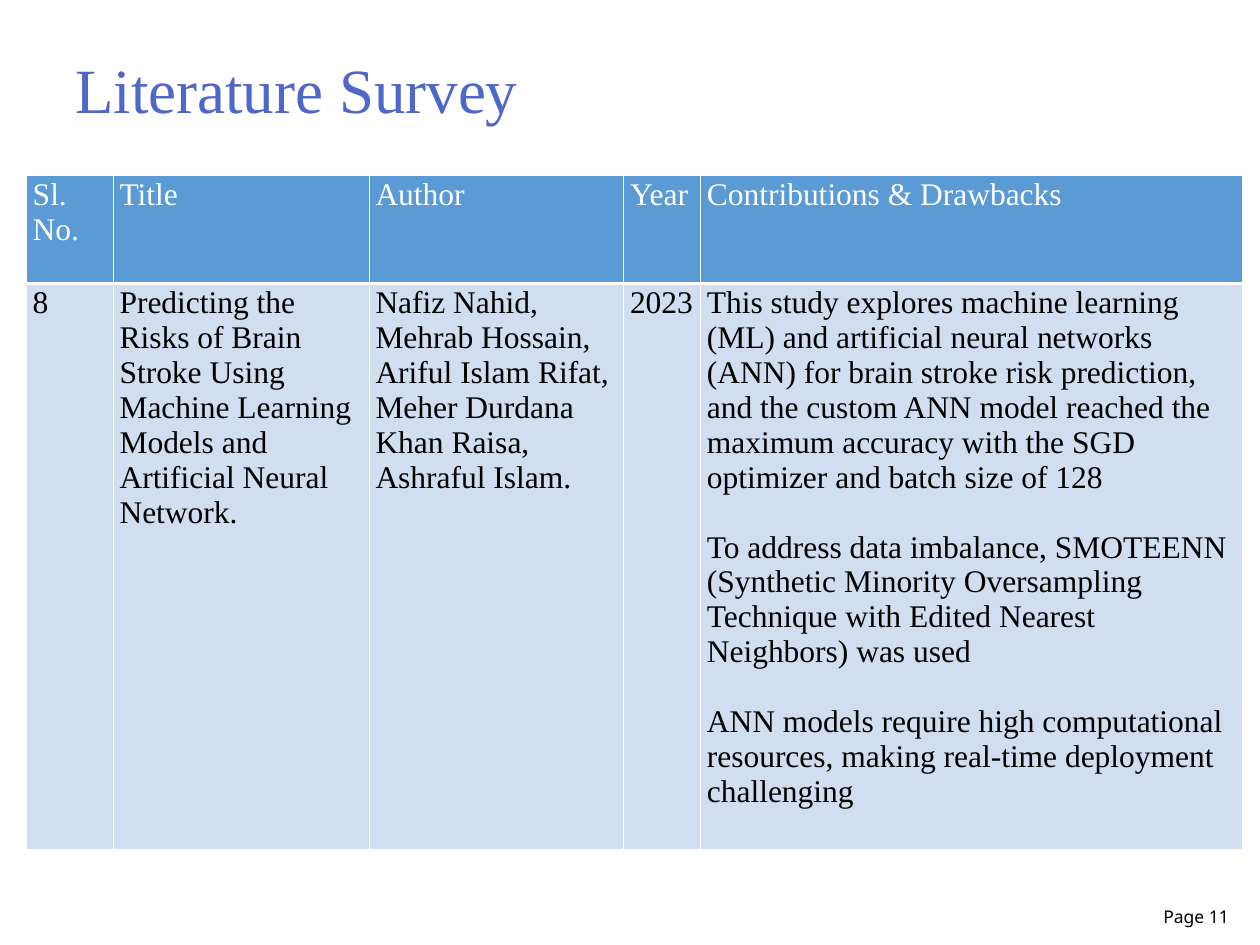
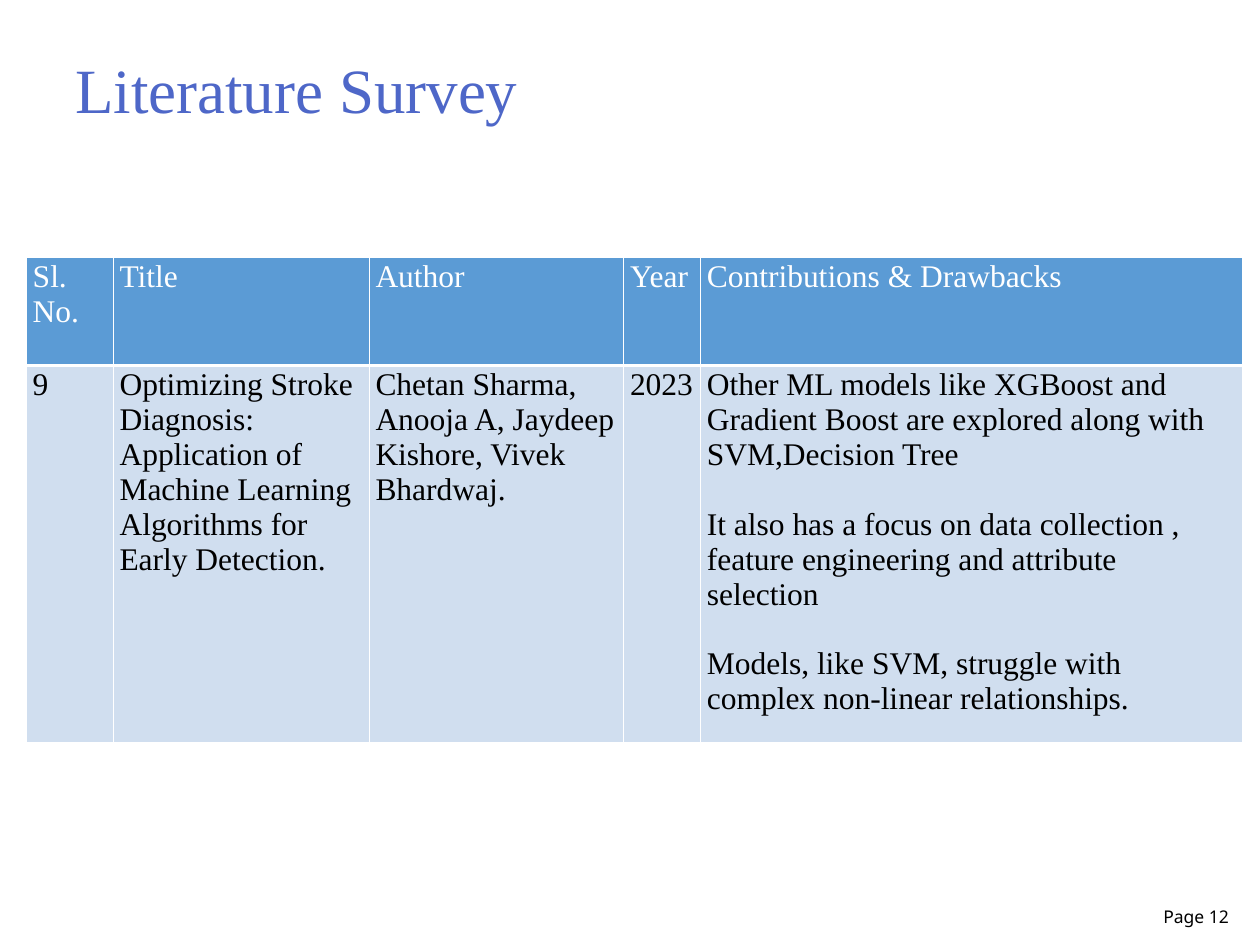
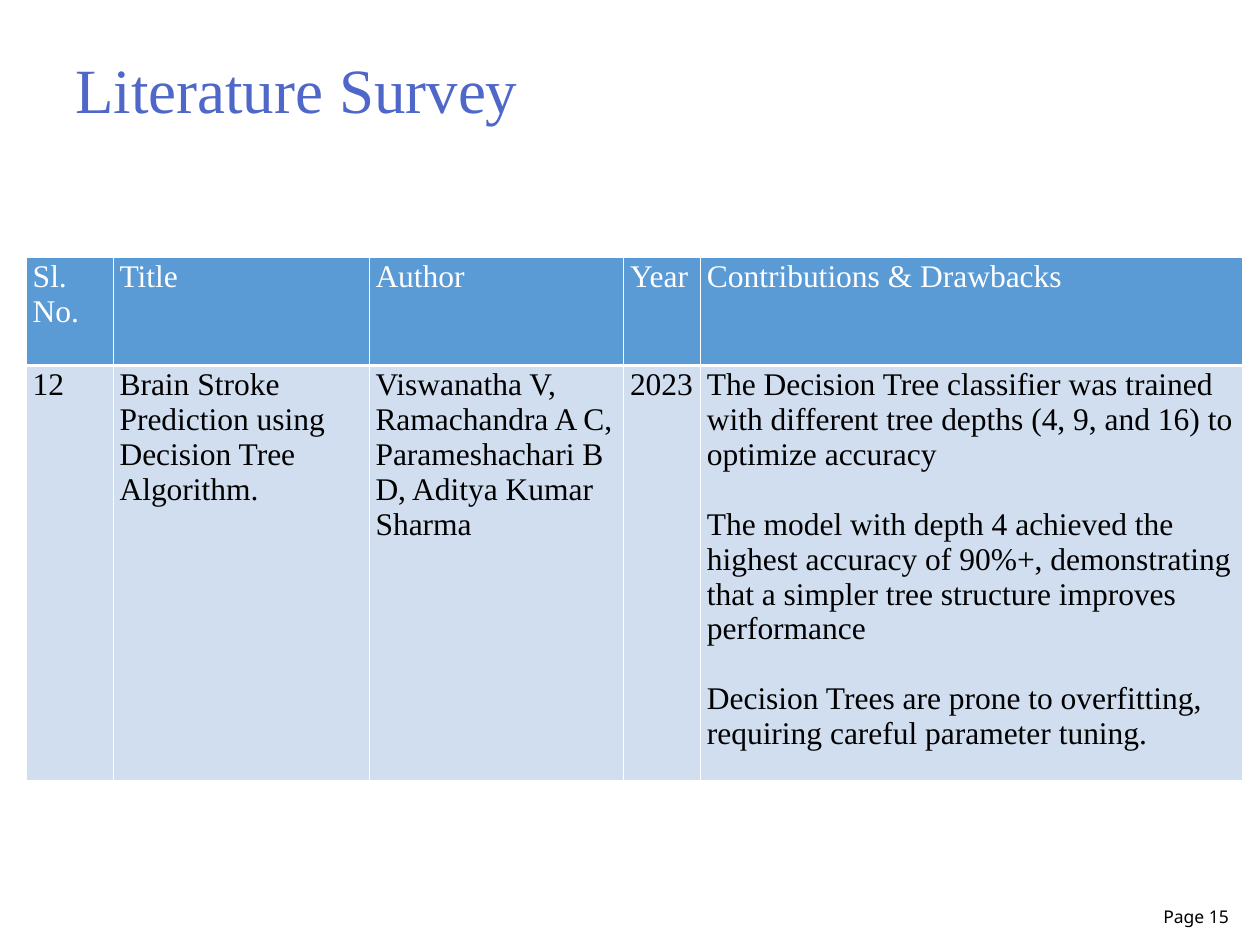
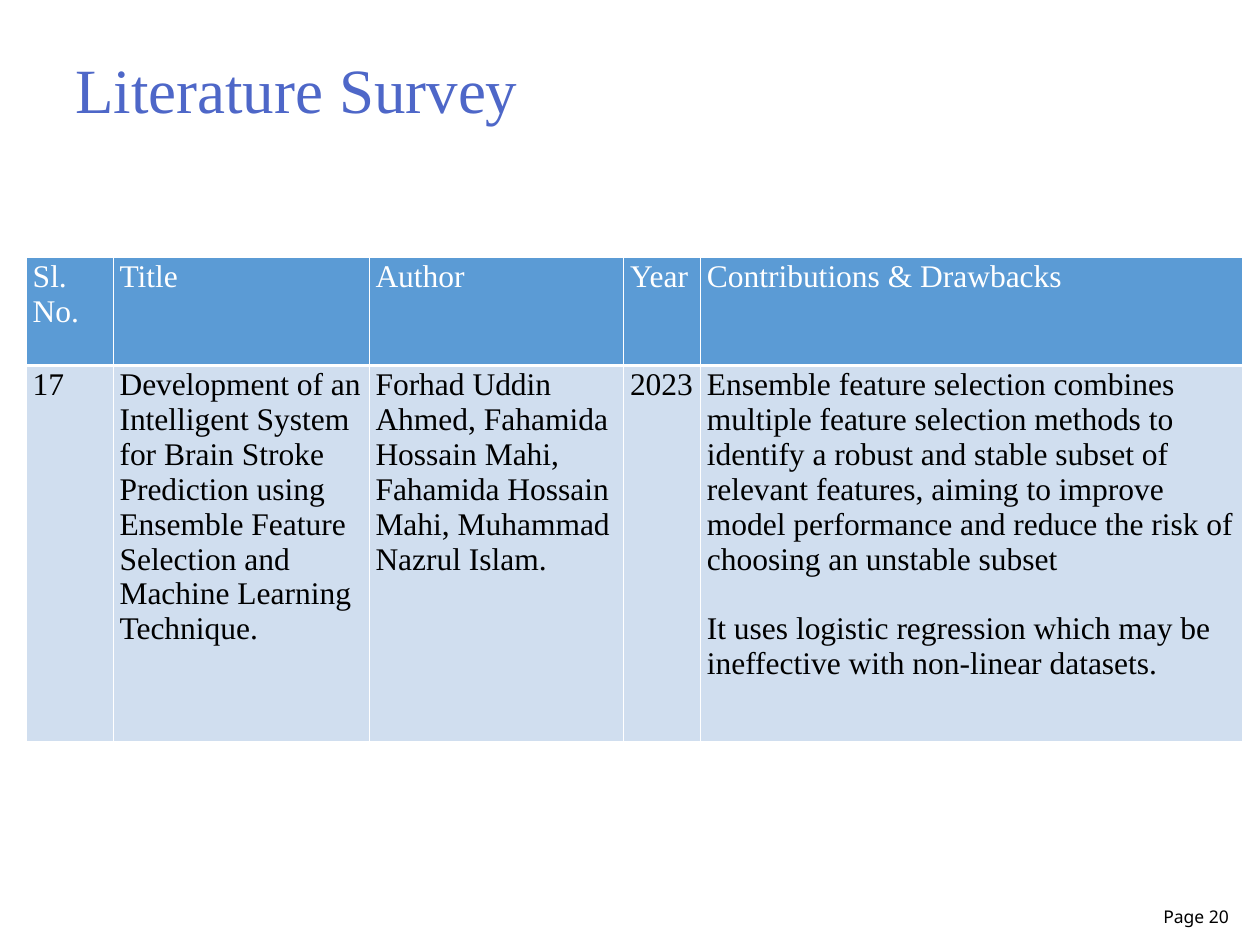
from dataclasses import dataclass

from lxml import etree
from pptx import Presentation
from pptx import util as u
from pptx.dml.color import RGBColor
from pptx.enum import text
from pptx.oxml import ns


@dataclass(frozen=True)
class Theme:
    title: str = "4E67C8"
    header: str = "5B9BD5"
    body: str = "D0DEEF"
    light: str = "FFFFFF"
    dark: str = "000000"
    serif: str = "Times New Roman"
    sans: str = "Noto Sans"
    title_size: int = 36
    table_size: int = 18
    page_size: int = 10
    thin: float = 0.75
    thick: float = 2


T = Theme()
HEADINGS = ["Sl. No.", "Title", "Author", "Year", "Contributions & Drawbacks"]
COLUMNS = [1.75, 5.16, 5.13, 1.55, 10.92]
ROWS = [2.18, 7.59]

# page, table top, table height, entry: number, title, authors, year, findings
SURVEY = [
    (11, 3.53, 13.72, [
        "8",
        "Predicting the Risks of Brain Stroke Using Machine Learning Models and "
        "Artificial Neural Network.",
        "Nafiz Nahid, Mehrab Hossain, Ariful Islam Rifat, Meher Durdana Khan Raisa, "
        "Ashraful Islam.",
        "2023",
        "This study explores machine learning (ML) and artificial neural networks (ANN) "
        "for brain stroke risk prediction, and the custom ANN model reached the maximum "
        "accuracy with the SGD optimizer and batch size of 128\n"
        "To address data imbalance, SMOTEENN (Synthetic Minority Oversampling Technique "
        "with Edited Nearest Neighbors) was used\n"
        "ANN models require high computational resources, making real-time deployment "
        "challenging"]),
    (12, 5.18, 9.91, [
        "9",
        "Optimizing Stroke Diagnosis: Application of Machine Learning Algorithms for "
        "Early Detection.",
        "Chetan Sharma, Anooja A, Jaydeep Kishore, Vivek Bhardwaj.",
        "2023",
        "Other ML models like XGBoost and Gradient Boost are explored along with "
        "SVM,Decision Tree\n"
        "It also has a focus on data collection , feature engineering and attribute "
        "selection\n"
        "Models, like SVM, struggle with complex non-linear relationships."]),
    (15, 5.18, 10.67, [
        "12",
        "Brain Stroke Prediction using Decision Tree Algorithm.",
        "Viswanatha V, Ramachandra A C, Parameshachari B D, Aditya Kumar Sharma",
        "2023",
        "The Decision Tree classifier was trained with different tree depths (4, 9, and "
        "16) to optimize accuracy\n"
        "The model with depth 4 achieved the highest accuracy of 90%+, demonstrating "
        "that a simpler tree structure improves performance\n"
        "Decision Trees are prone to overfitting, requiring careful parameter tuning."]),
    (20, 5.18, 9.78, [
        "17",
        "Development of an Intelligent System for Brain Stroke Prediction using Ensemble "
        "Feature Selection and Machine Learning Technique.",
        "Forhad Uddin Ahmed, Fahamida Hossain Mahi, Fahamida Hossain Mahi, Muhammad "
        "Nazrul Islam.",
        "2023",
        "Ensemble feature selection combines multiple feature selection methods to "
        "identify a robust and stable subset of relevant features, aiming to improve "
        "model performance and reduce the risk of choosing an unstable subset\n"
        "It uses logistic regression which may be ineffective with non-linear datasets."]),
]


def write(tf, content, font, size, color, gap=0):
    """Fill a text frame, one paragraph a line, with gap points between paragraphs."""
    tf.word_wrap = True
    tf.text = content
    for i, p in enumerate(tf.paragraphs):
        p.font.name = font
        p.font.size = u.Pt(size)
        p.font.color.rgb = RGBColor.from_string(color)
        if i:
            p.space_before = u.Pt(gap)


def set_borders(cell, top, bottom):
    """Draw light borders; the side borders are thin."""
    tc_pr = cell._tc.get_or_add_tcPr()
    for side, width in (("L", T.thin), ("R", T.thin), ("T", top), ("B", bottom)):
        ln = etree.SubElement(tc_pr, ns.qn(f"a:ln{side}"), w=str(u.Pt(width)))
        fill = etree.SubElement(ln, ns.qn("a:solidFill"))
        etree.SubElement(fill, ns.qn("a:srgbClr"), val=T.light)


prs = Presentation()
prs.slide_width, prs.slide_height = u.Cm(25.4), u.Cm(19.05)

for page, top, height, entry in SURVEY:
    s = prs.slides.add_slide(prs.slide_layouts[6])

    title = s.shapes.add_textbox(u.Cm(0), u.Cm(0.58), u.Cm(19.1), u.Cm(2.39))
    tf = title.text_frame
    tf.margin_left = u.Cm(1.52)
    tf.vertical_anchor = text.MSO_ANCHOR.MIDDLE
    write(tf, "Literature Survey", T.serif, T.title_size, T.title)

    frame = s.shapes.add_table(2, len(COLUMNS), u.Cm(0.53), u.Cm(top),
                               u.Cm(sum(COLUMNS)), u.Cm(height))
    table = frame.table
    for column, width in zip(table.columns, COLUMNS):
        column.width = u.Cm(width)
    for row, row_height in zip(table.rows, ROWS):
        row.height = u.Cm(row_height)
    frame.height = u.Cm(height)

    styles = [(HEADINGS, T.header, T.light, T.thin, T.thick),
              (entry, T.body, T.dark, T.thick, T.thin)]
    for row, (values, fill, color, above, below) in zip(table.rows, styles):
        for cell, value in zip(row.cells, values):
            cell.margin_left = cell.margin_right = u.Cm(0.13)
            cell.margin_top = cell.margin_bottom = u.Cm(0.05)
            set_borders(cell, above, below)
            cell.fill.solid()
            cell.fill.fore_color.rgb = RGBColor.from_string(fill)
            write(cell.text_frame, value, T.serif, T.table_size, color, gap=20)

    footer = s.shapes.add_textbox(u.Cm(23.09), u.Cm(17.8), u.Cm(1.93), u.Cm(1.02))
    tf = footer.text_frame
    tf.vertical_anchor = text.MSO_ANCHOR.BOTTOM
    write(tf, f"Page {page}", T.sans, T.page_size, T.dark)
    tf.paragraphs[0].alignment = text.PP_ALIGN.RIGHT

prs.save("out.pptx")
